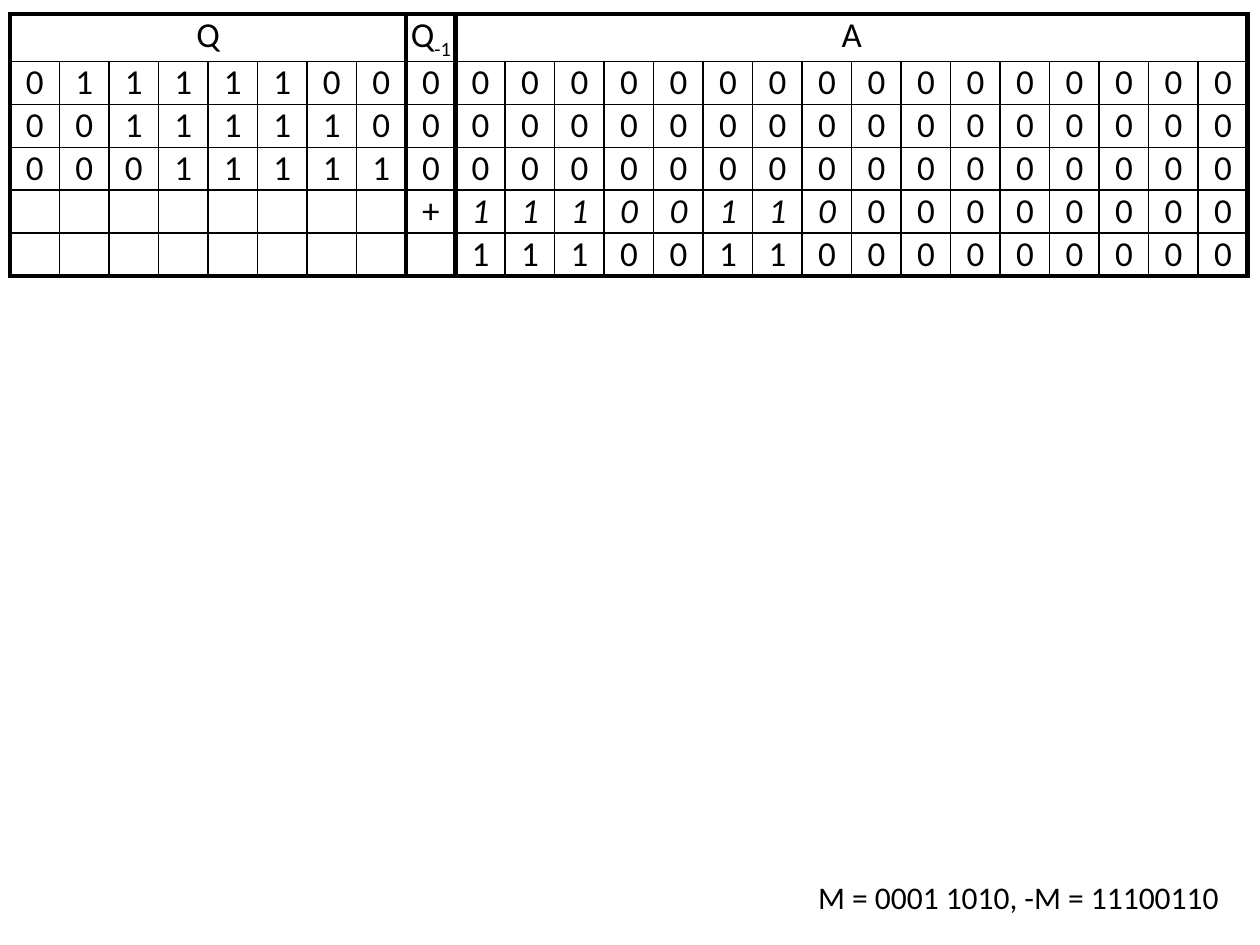
from dataclasses import dataclass

from lxml.etree import SubElement
from pptx import Presentation
from pptx.dml.color import RGBColor
from pptx.enum.text import PP_ALIGN
from pptx.oxml.ns import qn
from pptx.util import Inches, Pt


@dataclass(frozen=True)
class Theme:
    font: str = "Calibri"
    ink: str = "000000"
    table_size: int = 20
    note_size: int = 18
    heavy: float = 3
    thin: float = 1
    fine: float = 0.75


THEME = Theme()

# Registers: name, subscript, number of bits
REGISTERS = [("Q", "", 8), ("Q", "-1", 1), ("A", "", 16)]
# Steps: one string of bits for each register
STEPS = [
    ("01111100", "0", "0" * 16),
    ("00111110", "0", "0" * 16),
    ("00011111", "0", "0" * 16),
    (" " * 8, "+", "1110011000000000"),
    (" " * 8, " ", "1110011000000000"),
]
ADD_ROW = 4
ADDEND = range(9, 17)
FINE_EDGE = 3
A_START = 9


def style_run(r, size, italic=False):
    r.font.name = THEME.font
    r.font.size = Pt(size)
    r.font.color.rgb = RGBColor.from_string(THEME.ink)
    r.font.bold = False
    r.font.italic = italic


def add_cell_text(cell, text, subscript="", italic=False):
    p = cell.text_frame.paragraphs[0]
    p.alignment = PP_ALIGN.CENTER
    for part in filter(None, (text, subscript)):
        r = p.add_run()
        r.text = part
        style_run(r, THEME.table_size, italic)
    if subscript:
        r.font._element.set("baseline", "-25000")


def set_borders(cell, widths):
    tc_pr = cell._tc.get_or_add_tcPr()
    for side, width in zip("LRTB", widths):
        ln = SubElement(tc_pr, qn(f"a:ln{side}"), w=str(Pt(width)))
        fill = SubElement(ln, qn("a:solidFill"))
        SubElement(fill, qn("a:srgbClr"), val=THEME.ink)


# Register table
def add_register_table(slide, left, top, width, height):
    n_rows = len(STEPS) + 1
    n_cols = sum(bits for _, _, bits in REGISTERS)
    frame = slide.shapes.add_table(n_rows, n_cols, left, top, width, height)
    table = frame.table
    table.first_row = table.horz_banding = False
    for col in table.columns:
        col.width = width // n_cols
    for row in table.rows:
        row.height = Inches(0.32)

    # Header
    heavy_cols = {0}
    start = 0
    for name, subscript, bits in REGISTERS:
        cell = table.cell(0, start)
        if bits > 1:
            cell.merge(table.cell(0, start + bits - 1))
        add_cell_text(cell, name, subscript)
        start += bits
        heavy_cols.add(start)

    # Bits
    for i, step in enumerate(STEPS, 1):
        for j, bit in enumerate("".join(step)):
            if bit != " ":
                italic = i == ADD_ROW and j in ADDEND
                add_cell_text(table.cell(i, j), bit, italic=italic)

    # Margins, borders and fill
    def col_edge(j):
        return THEME.heavy if j in heavy_cols else THEME.thin

    def row_edge(i, j):
        if i in (0, n_rows):
            return THEME.heavy
        return THEME.fine if i == FINE_EDGE and j >= A_START else THEME.thin

    for i in range(n_rows):
        for j in range(n_cols):
            cell = table.cell(i, j)
            cell.margin_left = cell.margin_right = 0
            cell.margin_top = cell.margin_bottom = 0
            if cell.is_spanned:
                continue
            span = cell.span_width if cell.is_merge_origin else 1
            set_borders(cell, (col_edge(j), col_edge(j + span),
                               row_edge(i, j), row_edge(i + 1, j)))
            cell.fill.background()


# Multiplicand note
def add_note(slide, left, top, width, height):
    tf = slide.shapes.add_textbox(left, top, width, height).text_frame
    tf.word_wrap = True
    p = tf.paragraphs[0]
    p.text = "M = 0001 1010, -M = 11100110 "
    p.alignment = PP_ALIGN.RIGHT
    style_run(p.runs[0], THEME.note_size)


prs = Presentation()
prs.slide_width, prs.slide_height = Inches(10), Inches(7.5)
slide = prs.slides.add_slide(prs.slide_layouts[6])
add_register_table(slide, Inches(0.08), Inches(0.11), Inches(9.83), Inches(2))
add_note(slide, Inches(6), Inches(6.92), Inches(3.83), Inches(0.4))
prs.save("out.pptx")
